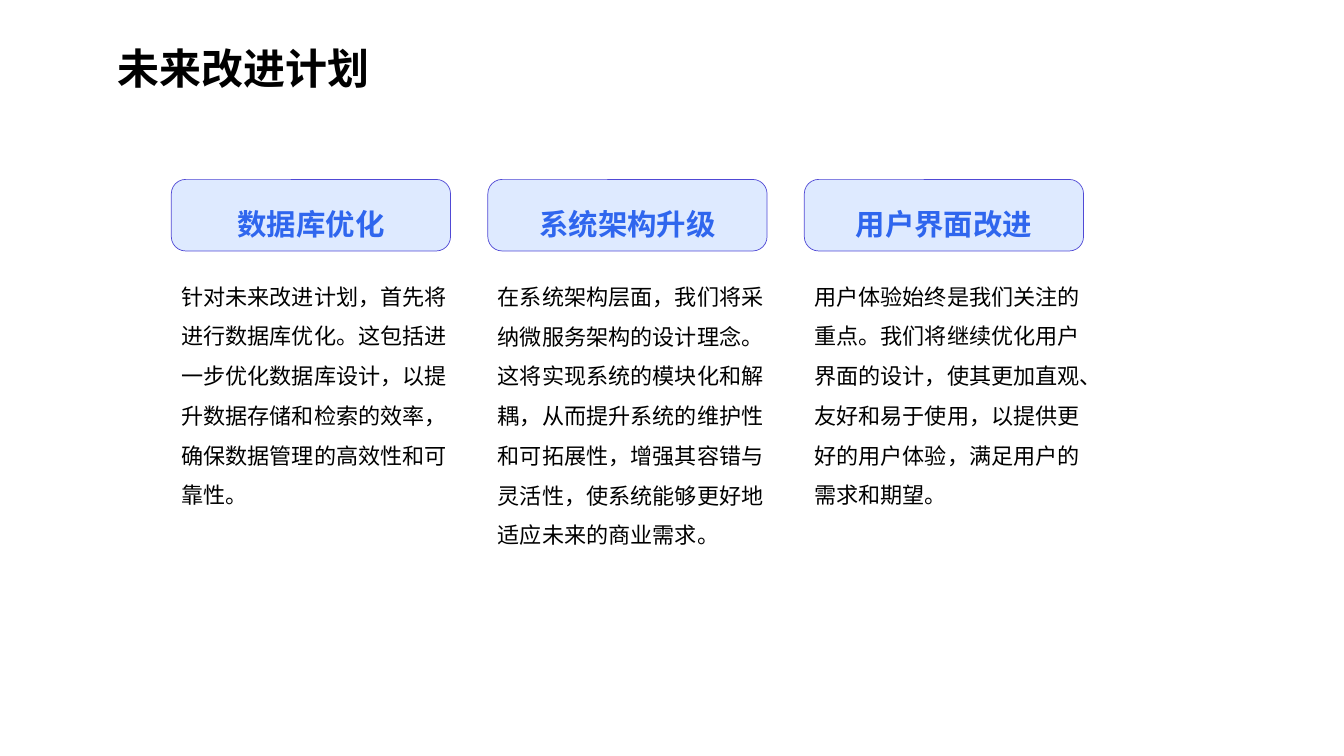
"""Build the slide on future improvement plans."""
from dataclasses import dataclass

from lxml import etree
from pptx import Presentation
from pptx.dml.color import RGBColor
from pptx.enum.shapes import MSO_SHAPE
from pptx.enum.text import MSO_ANCHOR, MSO_AUTO_SIZE, PP_ALIGN
from pptx.oxml.ns import qn
from pptx.slide import Slide
from pptx.text.text import TextFrame
from pptx.util import Pt

ROUNDED_RECTANGLE = MSO_SHAPE.ROUNDED_RECTANGLE
MIDDLE = MSO_ANCHOR.MIDDLE
NO_AUTOFIT = MSO_AUTO_SIZE.NONE
LEFT = PP_ALIGN.LEFT
CENTER = PP_ALIGN.CENTER

FONT_NAME = "Noto Sans CJK SC"
BLACK = "000000"
HEADING_BLUE = "2F66EE"
HEADING_FILL = "DEEAFF"
HEADING_LINE = "5049D5"

TITLE_ONLY_LAYOUT = 5
COLUMN_LEFT = 122.4
COLUMN_PITCH = 226.08
HEADING_TOP, HEADING_WIDTH, HEADING_HEIGHT = 128.16, 199.44, 51.12
BODY_TOP, BODY_WIDTH = 189.36, 216


@dataclass(frozen=True)
class Plan:
    """One improvement plan, shown as a column."""

    heading: str
    body: str
    body_height: float


@dataclass(frozen=True)
class TextStyle:
    """Look of a text block."""

    size: float
    color: str
    bold: bool = False
    alignment: PP_ALIGN = LEFT


TITLE_STYLE = TextStyle(30, BLACK, bold=True)
HEADING_STYLE = TextStyle(21, HEADING_BLUE, bold=True, alignment=CENTER)
BODY_STYLE = TextStyle(15.8, BLACK)

PLANS = [
    Plan(
        "数据库优化",
        "针对未来改进计划，首先将进行数据库优化。这包括进一步优化数据库设计，"
        "以提升数据存储和检索的效率，确保数据管理的高效性和可靠性。",
        177.12,
    ),
    Plan(
        "系统架构升级",
        "在系统架构层面，我们将采纳微服务架构的设计理念。这将实现系统的模块化和解耦，"
        "从而提升系统的维护性和可拓展性，增强其容错与灵活性，"
        "使系统能够更好地适应未来的商业需求。",
        205.92,
    ),
    Plan(
        "用户界面改进",
        "用户体验始终是我们关注的重点。我们将继续优化用户界面的设计，"
        "使其更加直观、友好和易于使用，以提供更好的用户体验，满足用户的需求和期望。",
        177.12,
    ),
]


def rgb(color: str) -> RGBColor:
    """Turn a hex string into a colour."""
    return RGBColor.from_string(color)


def write_text(text_frame: TextFrame, text: str, style: TextStyle) -> None:
    """Fill a text frame with one styled paragraph."""
    text_frame.text = text
    text_frame.word_wrap = True
    text_frame.auto_size = NO_AUTOFIT
    text_frame.vertical_anchor = MIDDLE
    paragraph = text_frame.paragraphs[0]
    paragraph.alignment = style.alignment
    paragraph.line_spacing = 1.5
    for run in paragraph.runs:
        run.font.size = Pt(style.size)
        run.font.bold = style.bold
        run.font.color.rgb = rgb(style.color)
        run.font.name = FONT_NAME
        properties = run.font._element if hasattr(run.font, "_element") else run._r.get_or_add_rPr()
        etree.SubElement(properties, qn("a:ea"), typeface=FONT_NAME)


def add_title(slide: Slide, text: str) -> None:
    """Place and fill the title placeholder."""
    title = slide.shapes.title
    title.left, title.top = Pt(77.04), Pt(8.64)
    title.width, title.height = Pt(738), Pt(61.2)
    write_text(title.text_frame, text, TITLE_STYLE)


def add_plan(slide: Slide, plan: Plan, left: float) -> None:
    """Draw the body text and heading box of one plan."""
    body = slide.shapes.add_textbox(
        Pt(left), Pt(BODY_TOP), Pt(BODY_WIDTH), Pt(plan.body_height)
    )
    write_text(body.text_frame, plan.body, BODY_STYLE)

    heading = slide.shapes.add_shape(
        ROUNDED_RECTANGLE,
        Pt(left), Pt(HEADING_TOP), Pt(HEADING_WIDTH), Pt(HEADING_HEIGHT),
    )
    heading.adjustments[0] = 0.2
    heading.shadow.inherit = False
    heading.fill.solid()
    heading.fill.fore_color.rgb = rgb(HEADING_FILL)
    heading.line.color.rgb = rgb(HEADING_LINE)
    heading.line.width = Pt(0.5)
    write_text(heading.text_frame, plan.heading, HEADING_STYLE)


def main() -> None:
    """Create and save the presentation."""
    presentation = Presentation()
    presentation.slide_width, presentation.slide_height = Pt(960), Pt(540)
    slide = presentation.slides.add_slide(presentation.slide_layouts[TITLE_ONLY_LAYOUT])
    add_title(slide, "未来改进计划")
    for index, plan in enumerate(PLANS):
        add_plan(slide, plan, COLUMN_LEFT + index * COLUMN_PITCH)
    presentation.save("out.pptx")


if __name__ == "__main__":
    main()
